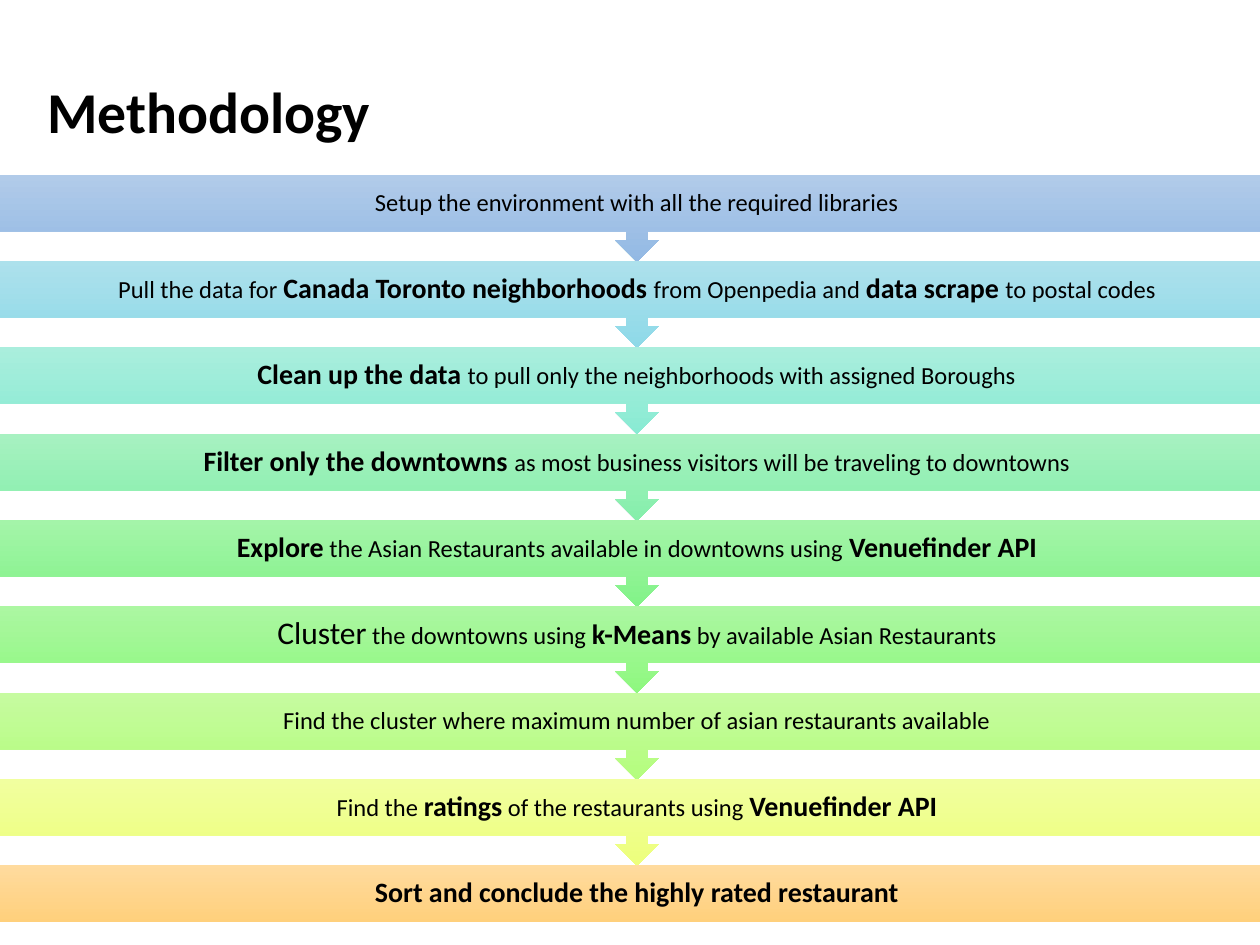
from pptx import Presentation
from pptx.dml.color import RGBColor
from pptx.enum.shapes import MSO_SHAPE
from pptx.enum.text import MSO_ANCHOR, PP_ALIGN
from pptx.util import Emu, Pt

PX = 914400 // 126
CALLOUT = MSO_SHAPE.DOWN_ARROW_CALLOUT
BAR = MSO_SHAPE.RECTANGLE
MIDDLE = MSO_ANCHOR.MIDDLE
CENTER = PP_ALIGN.CENTER

FONT = "Calibri"
COLORS = {
    "text": "000000",
    "blue": ("B1CBE9", "93B9E4"),
    "cyan": ("ADE1EC", "8ED9E8"),
    "turquoise": ("AAEEDD", "89EBD3"),
    "mint": ("A7F1C1", "85EFAB"),
    "green": ("A4F4A9", "82F388"),
    "spring": ("ACF7A2", "8EF87F"),
    "lime": ("C6FBA0", "B4FD7D"),
    "yellow": ("F1FF9F", "EDFF7C"),
    "orange": ("FFDB9E", "FFD07C"),
}

# Run styles: (size in points, bold)
TITLE, PLAIN, LARGE, STRONG = (33, True), (14, False), (18, False), (16, True)

STEPS = [
    ("blue", [("Setup the environment with all the required libraries", PLAIN)]),
    ("cyan", [("Pull the data for ", PLAIN), ("Canada Toronto neighborhoods ", STRONG),
              ("from Openpedia and ", PLAIN), ("data scrape ", STRONG),
              ("to postal codes", PLAIN)]),
    ("turquoise", [("Clean up the data ", STRONG),
                   ("to pull only the neighborhoods with assigned Boroughs", PLAIN)]),
    ("mint", [("Filter only the downtowns ", STRONG),
              ("as most business visitors will be traveling to downtowns", PLAIN)]),
    ("green", [("Explore", STRONG),
               (" the Asian Restaurants available in downtowns using ", PLAIN),
               ("Venuefinder API", STRONG)]),
    ("spring", [("Cluster", LARGE), (" the downtowns using ", PLAIN), ("k-Means", STRONG),
                (" by available Asian Restaurants", PLAIN)]),
    ("lime", [("Find the cluster where maximum number of asian restaurants available", PLAIN)]),
    ("yellow", [("Find the ", PLAIN), ("ratings", STRONG),
                (" of the restaurants using ", PLAIN), ("Venuefinder API", STRONG)]),
    ("orange", [("Sort and conclude the highly rated restaurant", STRONG)]),
]

FIRST_TOP, LAST_TOP = 175, 865
STEP_WIDTH, CALLOUT_HEIGHT, BAR_HEIGHT, INSET = 1274, 87, 57, 14


def px(*lengths):
    return [Emu(length * PX) for length in lengths]


def write_runs(shape, runs):
    frame = shape.text_frame
    frame.word_wrap = True
    frame.vertical_anchor = MIDDLE
    paragraph = frame.paragraphs[0]
    paragraph.line_spacing = 0.9
    for text, (size, bold) in runs:
        run = paragraph.add_run()
        run.text = text
        run.font.name = FONT
        run.font.size = Pt(size)
        run.font.bold = bold
        run.font.color.rgb = RGBColor.from_string(COLORS["text"])
    return paragraph


def add_step(slide, top, color, runs, is_last):
    kind, height = (BAR, BAR_HEIGHT) if is_last else (CALLOUT, CALLOUT_HEIGHT)
    shape = slide.shapes.add_shape(kind, *px(0, top, STEP_WIDTH, height))
    shape.shadow.inherit = False
    shape.line.fill.background()
    shape.fill.gradient()
    shape.fill.gradient_angle = 270  # counter-clockwise, so top to bottom
    for stop, value in zip(shape.fill.gradient_stops, COLORS[color]):
        stop.color.rgb = RGBColor.from_string(value)
    frame = shape.text_frame
    frame.margin_left, frame.margin_top, frame.margin_right, frame.margin_bottom = px(*[INSET] * 4)
    write_runs(shape, runs).alignment = CENTER


def main():
    presentation = Presentation()
    presentation.slide_width, presentation.slide_height = px(1260, 945)
    slide = presentation.slides.add_slide(presentation.slide_layouts[6])

    title = slide.shapes.add_textbox(*px(35, 24, 1086, 182))
    write_runs(title, [("Methodology", TITLE)])

    last = len(STEPS) - 1
    for index, (color, runs) in enumerate(STEPS):
        top = FIRST_TOP + round(index * (LAST_TOP - FIRST_TOP) / last)
        add_step(slide, top, color, runs, index == last)

    presentation.save("out.pptx")


if __name__ == "__main__":
    main()
